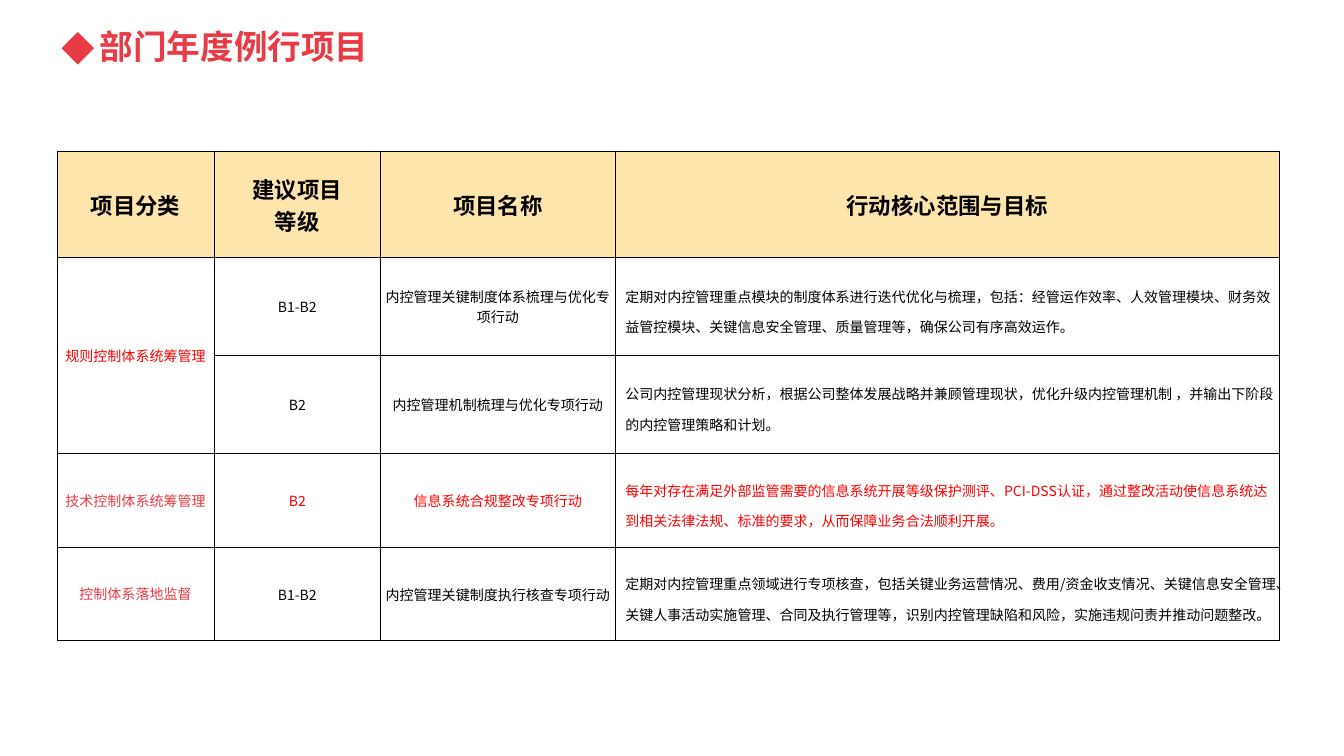
from dataclasses import dataclass

from lxml import etree
from pptx import Presentation
from pptx.dml.color import RGBColor
from pptx.enum.text import MSO_ANCHOR, MSO_AUTO_SIZE, PP_ALIGN
from pptx.oxml.ns import qn
from pptx.util import Inches, Pt

MIDDLE = MSO_ANCHOR.MIDDLE
NO_FIT = MSO_AUTO_SIZE.NONE
LEFT, CENTER = PP_ALIGN.LEFT, PP_ALIGN.CENTER


@dataclass(frozen=True)
class Theme:
    font: str = "Noto Sans CJK SC"
    alt: str = "Arial"
    rose: str = "E83B45"
    red: str = "FF0000"
    ink: str = "000000"
    sand: str = "FDE5AC"
    title: int = 48
    head: int = 32
    body: int = 20
    line: int = 1


T = Theme()
COLS = [3.12, 3.3, 4.66, 13.18]
ROWS = [2.1, 1.93, 1.95, 1.86, 1.86]
WIDE = (0.2, 0.05, 0.1, 0.05)
TIGHT = (0.01, 0.01, 0.01, 0)
TIGHT_WIDE = (0.2, 0.01, 0.01, 0)

HEADS = [["项目分类"], ["建议项目", "等级"], ["项目名称"], ["行动核心范围与目标"]]

# Each item: class, class colour, level, name, goal runs, text colour, tight insets
ITEMS = [
    ("规则控制体系统筹管理", T.red, "B1-B2", "内控管理关键制度体系梳理与优化专项行动",
     [("定期对内控管理重点模块的制度体系进行迭代优化与梳理，包括：经管运作效率、"
       "人效管理模块、财务效益管控模块、关键信息安全管理、质量管理等，"
       "确保公司有序高效运作。", T.font)], T.ink, False),
    (None, T.red, "B2", "内控管理机制梳理与优化专项行动",
     [("公司内控管理现状分析，根据公司整体发展战略并兼顾管理现状，"
       "优化升级内控管理机制 ，并输出下阶段的内控管理策略和计划。", T.font)], T.ink, False),
    ("技术控制体系统筹管理", T.rose, "B2", "信息系统合规整改专项行动",
     [("每年对存在满足外部监管需要的信息系统开展等级保护测评、PCI-DSS认证，"
       "通过整改活动使信息系统达到相关法律法规、标准的要求，"
       "从而保障业务合法顺利开展。", T.font)], T.red, True),
    ("控制体系落地监督", T.rose, "B1-B2", "内控管理关键制度执行核查专项行动",
     [("定期对内控管理重点领域进行专项核查，包括关键业务运营情况、费用/资金收支情况、"
       "关键信息安全管理、关键人事活动实施管理、合同及执行管理等，", T.font),
      ("识别内控管理缺陷和风险，实施违规问责并推动问题整改。", T.alt)], T.ink, True),
]


def add_run(para, text, size, color, bold=False, font=T.font):
    run = para.add_run()
    run.text = text
    run.font.size = Pt(size)
    run.font.bold = bold
    run.font.color.rgb = RGBColor.from_string(color)
    run.font.name = font
    # East Asian glyphs need their own typeface entry
    latin = run.font._element.find(qn("a:latin"))
    asian = etree.Element(qn("a:ea"), typeface=font)
    latin.addnext(asian)


def set_edges(cell):
    props = cell._tc.get_or_add_tcPr()
    for spot, side in enumerate(("lnL", "lnR", "lnT", "lnB")):
        edge = etree.Element(qn("a:" + side), w=str(Pt(T.line)))
        fill = etree.SubElement(edge, qn("a:solidFill"))
        etree.SubElement(fill, qn("a:srgbClr"), val=T.ink)
        props.insert(spot, edge)


def fill_cell(cell, paras, size, color, bold=False, align=CENTER, gap=None, pad=None):
    """Write paragraphs, each a list of (text, font) runs."""
    cell.vertical_anchor = MIDDLE
    if pad:
        (cell.margin_left, cell.margin_top,
         cell.margin_right, cell.margin_bottom) = map(Inches, pad)
    frame = cell.text_frame
    for num, runs in enumerate(paras):
        para = frame.add_paragraph() if num else frame.paragraphs[0]
        para.alignment = align
        if gap:
            para.line_spacing = gap
        for text, font in runs:
            add_run(para, text, size, color, bold, font)


def add_title(slide, box, text):
    shape = slide.shapes.title
    shape.left, shape.top, shape.width, shape.height = map(Inches, box)
    frame = shape.text_frame
    frame.auto_size = NO_FIT
    frame.word_wrap = True
    frame.vertical_anchor = MIDDLE
    para = frame.paragraphs[0]
    para.alignment = LEFT
    para.line_spacing = 0.9
    # Hanging diamond bullet
    props = para._p.get_or_add_pPr()
    props.set("marL", str(Inches(0.75)))
    props.set("indent", str(-Inches(0.75)))
    etree.SubElement(props, qn("a:buFont"), typeface=T.font)
    etree.SubElement(props, qn("a:buChar"), char="◆")
    add_run(para, text, T.title, T.rose, True)


def add_plan(slide, box):
    frame = slide.shapes.add_table(len(ROWS), len(COLS), *map(Inches, box))
    table = frame.table
    for col, width in zip(table.columns, COLS):
        col.width = Inches(width)
    for row, height in zip(table.rows, ROWS):
        row.height = Inches(height)

    # Fills and borders
    for num, row in enumerate(table.rows):
        for cell in row.cells:
            if num:
                cell.fill.background()
            else:
                cell.fill.solid()
                cell.fill.fore_color.rgb = RGBColor.from_string(T.sand)
            set_edges(cell)
    table.cell(1, 0).merge(table.cell(2, 0))

    # Header
    for col, lines in enumerate(HEADS):
        paras = [[(line, T.font)] for line in lines]
        fill_cell(table.cell(0, col), paras, T.head, T.ink, True)

    # Items
    for row, (kind, hue, level, name, goal, color, tight) in enumerate(ITEMS, 1):
        if kind:
            fill_cell(table.cell(row, 0), [[(kind, T.font)]], T.body, hue)
        for col, text in enumerate((level, name), 1):
            fill_cell(table.cell(row, col), [[(text, T.font)]], T.body, color,
                      pad=TIGHT if tight else None)
        fill_cell(table.cell(row, 3), [goal], T.body, color, align=LEFT, gap=1.5,
                  pad=TIGHT_WIDE if tight else WIDE)


def main():
    deck = Presentation()
    deck.slide_width, deck.slide_height = Inches(26.67), Inches(15)
    slide = deck.slides.add_slide(deck.slide_layouts[5])
    add_title(slide, (1.13, 0.5, 14.73, 0.93), "部门年度例行项目")
    add_plan(slide, (1.13, 3.01, sum(COLS), sum(ROWS)))
    deck.save("out.pptx")


if __name__ == "__main__":
    main()
